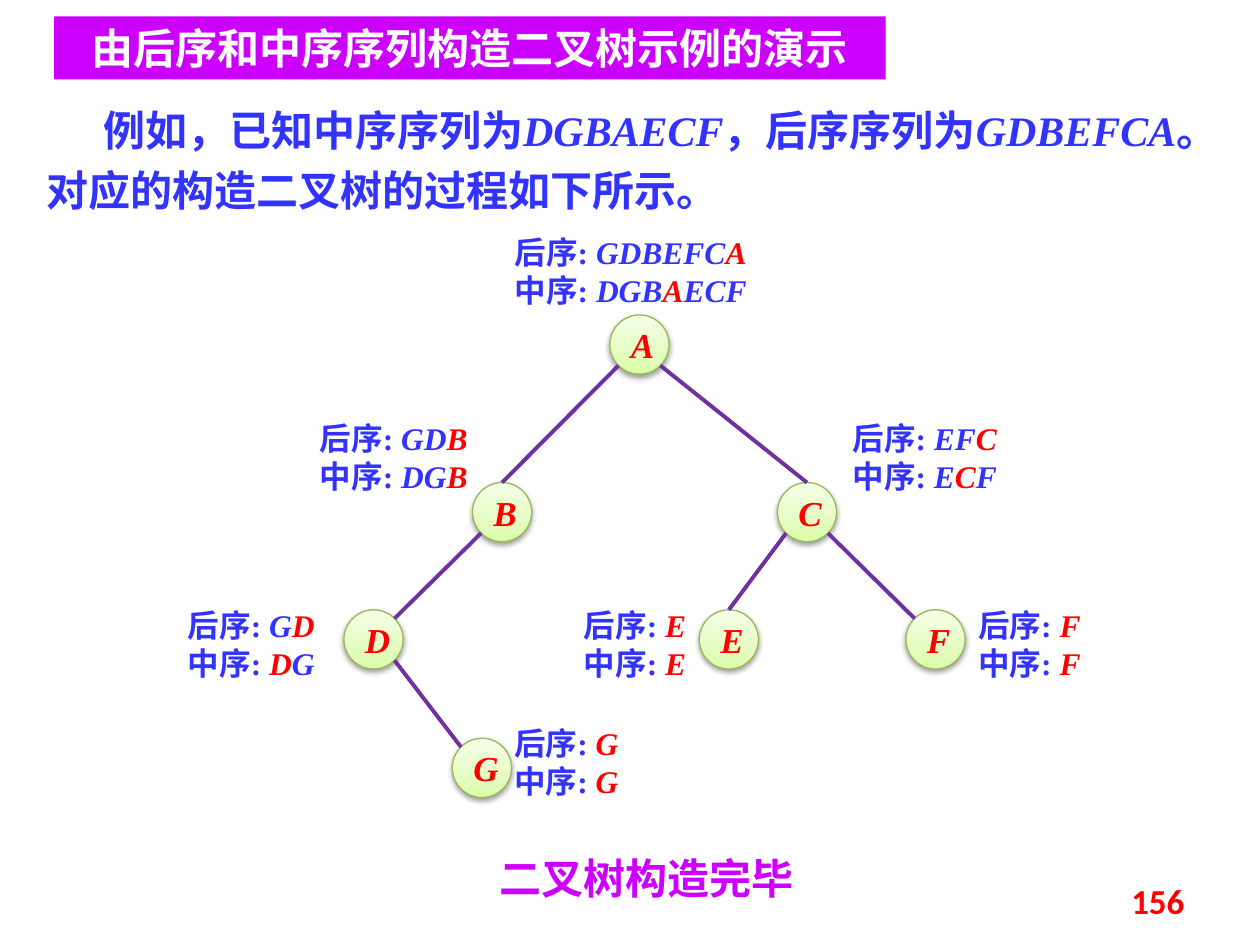
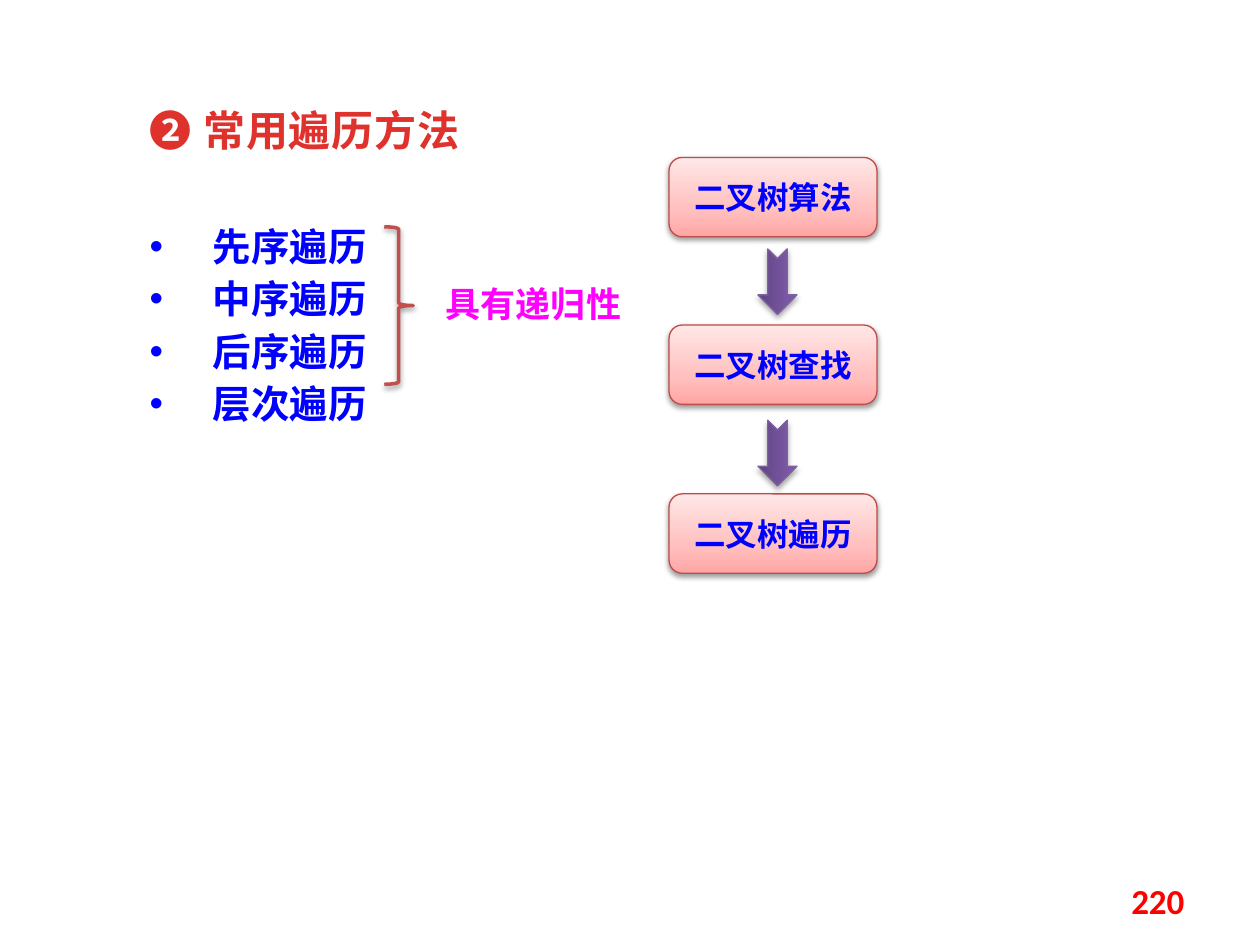
from copy import deepcopy

from lxml import etree
from pptx import Presentation
from pptx.dml.color import RGBColor
from pptx.enum import shapes, text
from pptx.oxml.ns import qn
from pptx.util import Inches, Pt

PURPLE = RGBColor(0xCC, 0x00, 0xFF)
WHITE = RGBColor(0xFF, 0xFF, 0xFF)
INDIGO = RGBColor(0x33, 0x33, 0xFF)
BLUE = RGBColor(0x00, 0x00, 0xFF)
RED = RGBColor(0xFF, 0x00, 0x00)
MAGENTA = RGBColor(0xFF, 0x00, 0xFF)
HEADING_RED = RGBColor(0xE0, 0x32, 0x2D)
BRANCH = RGBColor(0x70, 0x30, 0xA0)
BRACE = RGBColor(0xC0, 0x50, 0x4D)
NODE_LINE = RGBColor(0x98, 0xB9, 0x55)
STEP_LINE = RGBColor(0xBF, 0x4C, 0x48)
ARROW_LINE = RGBColor(0x7D, 0x60, 0xA0)
NODE_STOPS = [(0, "DAFDA7"), (0.35, "E4FCC2"), (1, "F5FFE7")]
STEP_STOPS = [(0, "FFA6A5"), (0.35, "FFC0BF"), (1, "FFE7E7")]
ARROW_STOPS = [(0, "5F4480"), (0.8, "7B58A6"), (1, "7C57A8")]

SERIF, SANS, DIGITS = "Times New Roman", "Noto Sans CJK SC", "Calibri"
LEFT, CENTER, RIGHT = text.PP_ALIGN.LEFT, text.PP_ALIGN.CENTER, text.PP_ALIGN.RIGHT
MIDDLE = text.MSO_ANCHOR.MIDDLE


def write(shape, lines, size, font=SERIF, align=LEFT, spacing=None):
    """Fill a shape with bold lines, each a list of (text, colour, italic) runs."""
    frame = shape.text_frame
    frame.word_wrap = True
    for i, line in enumerate(lines):
        paragraph = frame.paragraphs[0] if i == 0 else frame.add_paragraph()
        paragraph.alignment = align
        paragraph.line_spacing = spacing
        for words, color, italic in line:
            run = paragraph.add_run()
            run.text = words
            run.font.size = Pt(size)
            run.font.bold = True
            run.font.italic = italic
            run.font.name = font
            run.font.color.rgb = color
            etree.SubElement(run.font._element, qn("a:ea"), typeface=SANS)
    return frame


def finish(shape, line_color, width, stops=None, distance=20000, alpha=38000):
    """Give a shape its outline, soft shadow and, with stops, a three-colour gradient."""
    properties = shape._element.spPr
    if stops:
        shape.fill.gradient()
        shape.fill.gradient_angle = 90
        first = properties.find(".//" + qn("a:gs"))
        first.addnext(deepcopy(first))
        for stop, (position, color) in zip(shape.fill.gradient_stops, stops):
            stop.position = position
            stop.color.rgb = RGBColor.from_string(color)
    else:
        shape.fill.background()
    shape.line.color.rgb = line_color
    shape.line.width = Pt(width)
    shape.shadow.inherit = False
    outer = etree.SubElement(properties.find(qn("a:effectLst")), qn("a:outerShdw"), blurRad="40000",
                             dist=str(distance), dir="5400000", rotWithShape="0")
    black = etree.SubElement(outer, qn("a:srgbClr"), val="000000")
    etree.SubElement(black, qn("a:alpha"), val=str(alpha))


prs = Presentation()
prs.slide_width, prs.slide_height = Inches(10), Inches(7.5)
title_only = prs.slide_layouts[5]
tree_slide = prs.slides.add_slide(title_only)
methods_slide = prs.slides.add_slide(title_only)

# Shared titles and page numbers
for slide, words, box, color, align, spacing, page in [
    (tree_slide, "由后序和中序序列构造二叉树示例的演示", (0.43, 0.13, 6.6, 0.5), WHITE, CENTER, None, "156"),
    (methods_slide, "❷ 常用遍历方法", (1.09, 0.76, 3.13, 0.52), HEADING_RED, LEFT, Pt(30), "220"),
]:
    title = slide.shapes.title
    title.left, title.top, title.width, title.height = map(Inches, box)
    frame = write(title, [[(words, color, False)]], 24, SANS, align, spacing)
    frame.auto_size = text.MSO_AUTO_SIZE.NONE
    frame.vertical_anchor = text.MSO_ANCHOR.TOP
    number = slide.shapes.add_textbox(Inches(7.17), Inches(6.95), Inches(2.33), Inches(0.4))
    write(number, [[(page, RED, False)]], 20, DIGITS, RIGHT).vertical_anchor = MIDDLE

tree_slide.shapes.title.fill.solid()
tree_slide.shapes.title.fill.fore_color.rgb = PURPLE
methods_slide.shapes.title.text_frame.paragraphs[0].runs[0].font._element.set("spc", "50")

# Slide 1: building the tree
canvas = tree_slide.shapes
example = canvas.add_textbox(Inches(0.27), Inches(0.7), Inches(9.5), Inches(1.07))
frame = write(example, [[
    ("例如，已知中序序列为", INDIGO, False), ("DGBAECF", INDIGO, True), ("，后序序列为", INDIGO, False),
    ("GDBEFCA", INDIGO, True), ("。对应的构造二叉树的过程如下所示。", INDIGO, False),
]], 24, spacing=1.2)
frame.paragraphs[0]._p.get_or_add_pPr().set("indent", str(Inches(0.45)))

done = canvas.add_textbox(Inches(3.83), Inches(6.72), Inches(2.6), Inches(0.5))
write(done, [[("二叉树构造完毕", PURPLE, False)]], 24, SANS, CENTER)

DIAMETER = 0.47
RADIUS = DIAMETER / 2
DIAGONAL = RADIUS * 0.5 ** 0.5
node_places = {"A": (4.84, 2.5), "B": (3.75, 3.83), "C": (6.17, 3.83), "E": (5.55, 4.84),
               "F": (7.19, 4.84), "D": (2.73, 4.84), "G": (3.59, 5.86)}
nodes = {}
for letter, (x, y) in node_places.items():
    node = canvas.add_shape(shapes.MSO_SHAPE.OVAL, Inches(x), Inches(y), Inches(DIAMETER), Inches(DIAMETER))
    finish(node, NODE_LINE, 0.75, NODE_STOPS)
    write(node, [[(letter, RED, True)]], 20, align=CENTER).vertical_anchor = MIDDLE
    nodes[letter] = node

# Sides: -1 left diagonal, 1 right diagonal, 0 top middle
for parent, child, parent_side, child_side in [("A", "B", -1, 0), ("A", "C", 1, 0), ("B", "D", -1, 1),
                                               ("D", "G", 1, -1), ("C", "E", -1, 0), ("C", "F", 1, -1)]:
    (px, py), (cx, cy) = node_places[parent], node_places[child]
    branch = canvas.add_connector(
        shapes.MSO_CONNECTOR.STRAIGHT,
        Inches(px + RADIUS + parent_side * DIAGONAL), Inches(py + RADIUS + DIAGONAL),
        Inches(cx + RADIUS + child_side * DIAGONAL), Inches(cy + RADIUS - DIAGONAL))
    if child_side == 0:
        branch.end_connect(nodes[child], 0)
    branch.line.color.rgb = BRANCH
    branch.line.width = Pt(2.25)
    etree.SubElement(branch._element.spPr, qn("a:effectLst"))

# The last letter of each postorder sequence is the root of its subtree
for postorder, inorder, x, y, width in [
    ("GDBEFCA", "DGBAECF", 3.91, 1.8, 2.19), ("GDB", "DGB", 2.42, 3.28, 1.41),
    ("EFC", "ECF", 6.56, 3.28, 1.56), ("GD", "DG", 1.33, 4.76, 1.33),
    ("G", "G", 3.91, 5.7, 1.17), ("E", "E", 4.46, 4.76, 1.16), ("F", "F", 7.59, 4.76, 1.16),
]:
    root = postorder[-1]
    lines = []
    for order, sequence in [("后序: ", postorder), ("中序: ", inorder)]:
        before, _, after = sequence.partition(root)
        runs = [(order, INDIGO, False), (before, INDIGO, True), (root, RED, True), (after, INDIGO, True)]
        lines.append([run for run in runs if run[0]])
    sequences = canvas.add_textbox(Inches(x), Inches(y), Inches(width), Inches(0.71))
    write(sequences, lines, 18, align=CENTER)

# Slide 2: traversal methods
canvas = methods_slide.shapes
methods = canvas.add_textbox(Inches(1.09), Inches(1.67), Inches(2.34), Inches(1.78))
names = ["先序遍历", "中序遍历", "后序遍历", "层次遍历"]
frame = write(methods, [[(name, BLUE, False)] for name in names], 22, spacing=Pt(30))
for paragraph in frame.paragraphs:
    properties = paragraph._p.get_or_add_pPr()
    properties.set("marL", str(Inches(0.5)))
    properties.set("indent", str(Inches(-0.5)))
    etree.SubElement(properties, qn("a:buFont"), typeface="Arial")
    etree.SubElement(properties, qn("a:buChar"), char="•")

brace = canvas.add_shape(shapes.MSO_SHAPE.RIGHT_BRACE, Inches(3.05), Inches(1.8), Inches(0.23), Inches(1.25))
finish(brace, BRACE, 2)
recursive = canvas.add_textbox(Inches(3.44), Inches(2.11), Inches(1.88), Inches(0.52))
write(recursive, [[("具有递归性", MAGENTA, False)]], 20, spacing=Pt(30))

for words, y in [("二叉树算法", 1.25), ("二叉树查找", 2.58), ("二叉树遍历", 3.92)]:
    step = canvas.add_shape(shapes.MSO_SHAPE.ROUNDED_RECTANGLE, Inches(5.31), Inches(y), Inches(1.65), Inches(0.63))
    finish(step, STEP_LINE, 0.75, STEP_STOPS)
    write(step, [[(words, BLUE, False)]], 18, SANS, CENTER).vertical_anchor = MIDDLE

for y in (2.08, 3.44):
    arrow = canvas.add_shape(shapes.MSO_SHAPE.NOTCHED_RIGHT_ARROW, Inches(5.91), Inches(y), Inches(0.52), Inches(0.31))
    arrow.rotation = 90
    finish(arrow, ARROW_LINE, 0.75, ARROW_STOPS, 23000, 35000)

prs.save("out.pptx")
